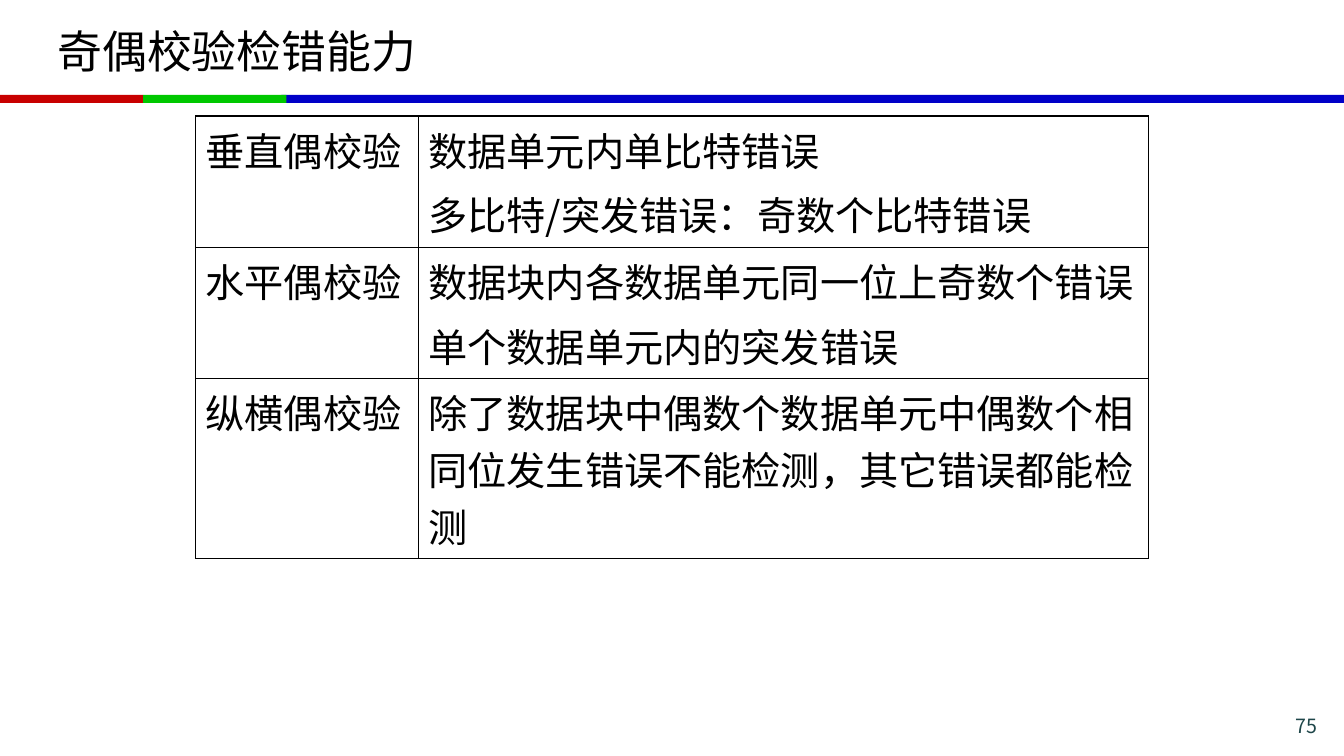
from lxml import etree
from pptx import Presentation
from pptx import util as u
from pptx.dml.color import RGBColor
from pptx.enum import shapes, text
from pptx.oxml import ns

BLACK = RGBColor(0x00, 0x00, 0x00)
RED = RGBColor(0xC8, 0x00, 0x00)
GREEN = RGBColor(0x00, 0xC8, 0x00)
BLUE = RGBColor(0x00, 0x00, 0xC8)
TEAL = RGBColor(0x1E, 0x46, 0x49)

CHECKS = [
    ("垂直偶校验", ["数据单元内单比特错误", "多比特/突发错误：奇数个比特错误"]),
    ("水平偶校验", ["数据块内各数据单元同一位上奇数个错误", "单个数据单元内的突发错误"]),
    ("纵横偶校验", ["除了数据块中偶数个数据单元中偶数个相同位发生错误不能检测，其它错误都能检测"]),
]


def apply_format(target, values):
    for name, value in values.items():
        setattr(target, name, value)


class SlideBuilder:
    font_name = "Noto Sans CJK SC"

    def __init__(self, slide):
        self.slide = slide

    def add_lines(self, frame, lines, size, color, align=text.PP_ALIGN.LEFT):
        frame.word_wrap = True
        for index, line in enumerate(lines):
            paragraph = frame.add_paragraph() if index else frame.paragraphs[0]
            space = u.Pt(size * 0.2) if index else u.Pt(0)
            apply_format(paragraph, {"alignment": align, "space_before": space})
            run = paragraph.add_run()
            run.text = line
            run.font.color.rgb = color
            apply_format(run.font, {"size": u.Pt(size), "name": self.font_name, "bold": False})
            properties = run._r.get_or_add_rPr()
            etree.SubElement(properties, ns.qn("a:ea"), typeface=self.font_name)

    def bar(self, left, width, color):
        shape = self.slide.shapes.add_shape(
            shapes.MSO_SHAPE.RECTANGLE,
            u.Inches(left), u.Inches(0.94), u.Inches(width), u.Inches(0.08))
        shape.shadow.inherit = False
        shape.fill.solid()
        shape.fill.fore_color.rgb = color
        shape.line.fill.background()

    def title(self, words):
        shape = self.slide.shapes.title
        apply_format(shape, {"left": u.Inches(0.47), "top": u.Inches(0.08),
                             "width": u.Inches(12.39), "height": u.Inches(0.84)})
        apply_format(shape.text_frame, {"vertical_anchor": text.MSO_ANCHOR.MIDDLE,
                                        "auto_size": text.MSO_AUTO_SIZE.NONE})
        self.add_lines(shape.text_frame, [words], 32, BLACK)

    def border(self, cell):
        properties = cell._tc.get_or_add_tcPr()
        for side in ("a:lnL", "a:lnR", "a:lnT", "a:lnB"):
            line = etree.SubElement(properties, ns.qn(side), w=str(u.Pt(1)))
            fill = etree.SubElement(line, ns.qn("a:solidFill"))
            etree.SubElement(fill, ns.qn("a:srgbClr"), val=str(BLACK))

    def table(self, rows, widths, heights):
        table = self.slide.shapes.add_table(
            len(rows), len(widths), u.Inches(1.94), u.Inches(1.15),
            u.Inches(sum(widths)), u.Inches(sum(heights))).table
        apply_format(table, {"first_row": False, "horz_banding": False})
        for column, width in zip(table.columns, widths):
            column.width = u.Inches(width)
        for row, height, (name, errors) in zip(table.rows, heights, rows):
            row.height = u.Inches(height)
            for cell, lines in zip(row.cells, ([name], errors)):
                self.border(cell)
                cell.fill.background()
                self.add_lines(cell.text_frame, lines, 28, BLACK)

    def page_number(self, number):
        box = self.slide.shapes.add_textbox(
            u.Inches(10.05), u.Inches(7.06), u.Inches(3.11), u.Inches(0.23))
        apply_format(box.text_frame, {"margin_top": u.Inches(0.02), "margin_bottom": 0})
        self.add_lines(box.text_frame, [number], 14, TEAL, text.PP_ALIGN.RIGHT)


def main():
    presentation = Presentation()
    apply_format(presentation, {"slide_width": u.Inches(13.33), "slide_height": u.Inches(7.5)})
    builder = SlideBuilder(presentation.slides.add_slide(presentation.slide_layouts[5]))
    builder.bar(2.79, 10.54, BLUE)
    builder.bar(0, 1.42, RED)
    builder.bar(1.42, 1.42, GREEN)
    builder.title("奇偶校验检错能力")
    builder.table(CHECKS, widths=[2.21, 7.24], heights=[1.3, 1.3, 1.79])
    builder.page_number("75")
    presentation.save("out.pptx")


if __name__ == "__main__":
    main()
